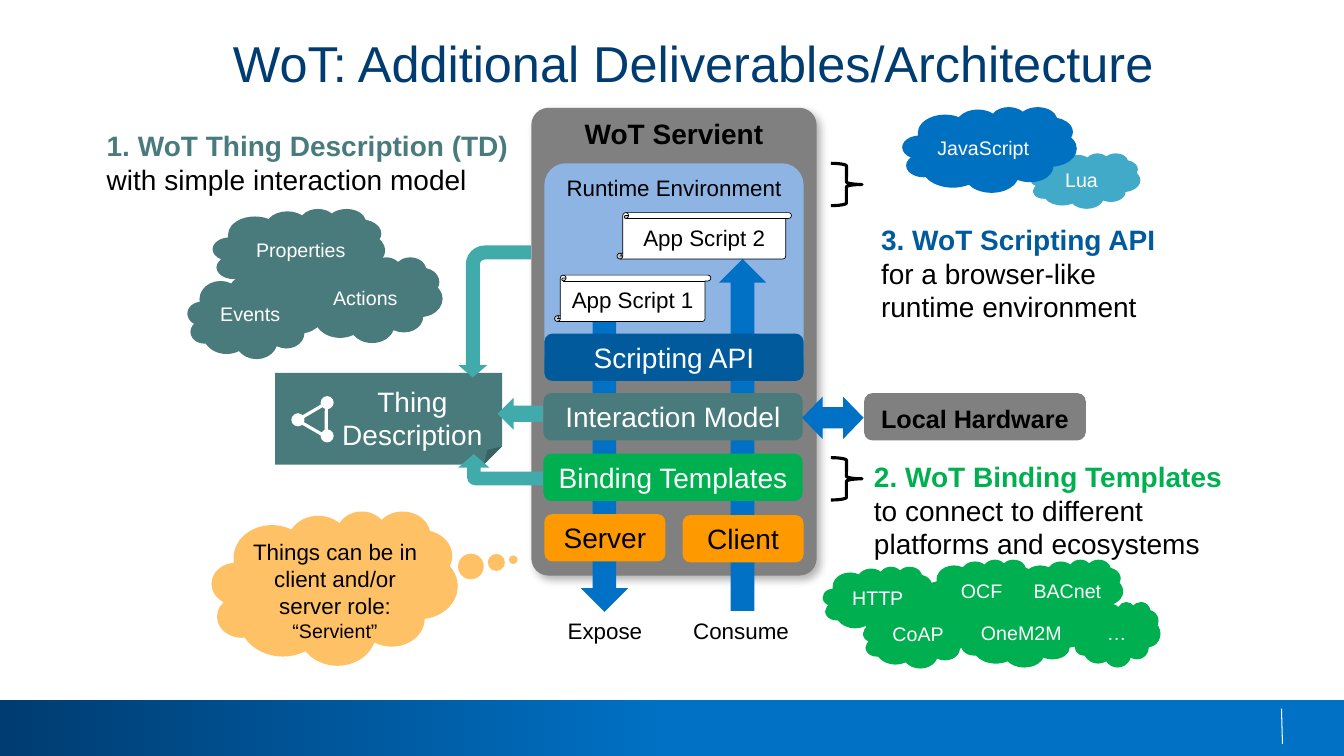
from pptx import Presentation
from pptx.dml.color import RGBColor
from pptx.enum.shapes import MSO_CONNECTOR as Wire, MSO_SHAPE as Kind
from pptx.enum.text import MSO_ANCHOR as Anchor, MSO_AUTO_SIZE as Fit, PP_ALIGN as Align
from pptx.oxml.ns import qn
from pptx.util import Pt
from lxml.etree import SubElement as Sub


class Theme:
    px = 9144
    font = "Arial"
    navy, blue, sky = "003C71", "0071C5", "0070C0"
    deep, pale, aqua = "005A9C", "8EB4E3", "41AAC8"
    slate, teal, green = "4A7B7C", "41AAAA", "00B050"
    gold, gray, white, black = "FF9900", "808080", "FFFFFF", "000000"
    title, big, mid, body, small = 36, 20, 18, 16, 14


T = Theme
deck = Presentation()
deck.slide_width, deck.slide_height = 1333 * T.px, 750 * T.px
slide = deck.slides.add_slide(deck.slide_layouts[5])
shapes = slide.shapes


def put(kind, box, fill=None, line=None, adj=(), rot=0, flip="", home=shapes):
    shape = home.add_shape(kind, *[n * T.px for n in box])
    shape.shadow.inherit = False
    shape.rotation = rot
    if adj:
        guides = shape._element.spPr.find(qn("a:prstGeom")).find(qn("a:avLst"))
        guides.clear()
        for i, value in enumerate(adj, 1):
            name = "adj" if len(adj) == 1 else f"adj{i}"
            Sub(guides, qn("a:gd"), name=name, fmla=f"val {round(value * 100000)}")
    for axis in flip:
        shape._element.spPr.find(qn("a:xfrm")).set("flip" + axis, "1")
    if fill:
        shape.fill.solid()
        shape.fill.fore_color.rgb = RGBColor.from_string(fill)
    else:
        shape.fill.background()
    if line:
        shape.line.color.rgb = RGBColor.from_string(line[0])
        shape.line.width = Pt(line[1])
    else:
        shape.line.fill.background()
    return shape


def write(shape, runs, pad=(10, 5, 10, 5), anchor=Anchor.MIDDLE,
          align=Align.CENTER, wrap=False, gap=None):
    frame = shape.text_frame
    frame.auto_size = Fit.NONE
    frame.word_wrap = wrap
    frame.vertical_anchor = anchor
    (frame.margin_left, frame.margin_top,
     frame.margin_right, frame.margin_bottom) = [n * T.px for n in pad]
    para = frame.paragraphs[0]
    para.alignment = align
    if gap:
        para.line_spacing = gap
    for text, size, ink, bold in runs:
        for i, part in enumerate(text.split("\n")):
            if i:
                para.add_line_break()
                Sub(para._p[-1], qn("a:rPr"), sz=str(size * 100))
            if part:
                run = para.add_run()
                run.text = part
                run.font.name = T.font
                run.font.size = Pt(size)
                run.font.bold = bold
                run.font.color.rgb = RGBColor.from_string(ink)


title = shapes.title
title.left, title.top, title.width, title.height = [n * T.px for n in (221, 19, 997, 93)]
write(title, [("WoT: Additional Deliverables/Architecture", T.title, T.navy, False)],
      pad=(10, 10, 10, 10), align=Align.LEFT, wrap=True, gap=0.9)

foot = put(Kind.RECTANGLE, (0, 694, 1333, 56))
foot.fill.gradient()
foot.fill.gradient_angle = 0
for stop, ink, spot in zip(foot.fill.gradient_stops, (T.navy, T.blue), (0, 0.5)):
    stop.color.rgb = RGBColor.from_string(ink)
    stop.position = spot
tick = shapes.add_connector(Wire.STRAIGHT, *[n * T.px for n in (1271, 703, 1272, 738)])
tick.line.color.rgb = RGBColor.from_string(T.white)
tick.line.width = Pt(0.75)
Sub(tick._element.spPr, qn("a:effectLst"))

host = put(Kind.ROUNDED_RECTANGLE, (527, 107, 283, 464), T.gray, adj=[0.06])
shade = Sub(host._element.spPr.find(qn("a:effectLst")), qn("a:outerShdw"),
            blurRad=str(Pt(6)), dist=str(Pt(4)), dir="2700000", algn="tl", rotWithShape="0")
Sub(Sub(shade, qn("a:srgbClr"), val=T.black), qn("a:alpha"), val="30000")
write(host, [("WoT Servient", T.big, T.black, True)], pad=(10, 4, 10, 8), anchor=Anchor.TOP)
room = put(Kind.ROUNDED_RECTANGLE, (540, 162, 257, 213), T.pale, adj=[0.1])
write(room, [("Runtime Environment", T.body, T.black, False)], anchor=Anchor.TOP)

thing = shapes.add_group_shape().shapes
card = put(Kind.FOLDED_CORNER, (273, 370, 225, 91), T.slate, adj=[0.2], home=thing)
write(card, [("Thing\nDescription", T.big, T.white, False)], pad=(47, 16, 0, 0))
put(Kind.ISOSCELES_TRIANGLE, (300, 398, 33, 29), line=(T.white, 2.25), rot=30, home=thing)
for x, y in (318, 393), (289, 410), (318, 426):
    put(Kind.OVAL, (x, y, 13, 13), T.white, home=thing)

for kind, box, ink, adj, rot, flip in [
    (Kind.BENT_ARROW, (481, 424, 31, 84), T.teal, (0.435, 0.5, 0.434, 0.262), 90, "HV"),
    (Kind.DOWN_ARROW, (500, 388, 32, 45), T.teal, (), 90, ""),
    (Kind.BENT_ARROW, (425, 273, 131, 72), T.teal, (0.193, 0.2, 0.171, 0.262), 270, "H"),
    (Kind.DOWN_ARROW, (576, 319, 47, 288), T.blue, (), 0, ""),
    (Kind.DOWN_ARROW, (713, 257, 47, 349), T.blue, (), 0, "V"),
]:
    put(kind, box, ink, adj=adj, rot=rot, flip=flip)

for text, x, y, wide, fill, ink in [
    ("Interaction Model", 539, 390, 257, T.slate, T.white),
    ("Binding Templates", 539, 450, 257, T.green, T.white),
    ("Scripting API", 540, 331, 257, T.deep, T.white),
    ("Server", 540, 510, 120, T.gold, T.black),
    ("Client", 677, 511, 120, T.gold, T.black),
]:
    bar = put(Kind.ROUNDED_RECTANGLE, (x, y, wide, 47), fill)
    write(bar, [(text, T.big, ink, False)])

for text, x, y, wide in ("App Script 2", 612, 211, 173), ("App Script 1", 550, 273, 155):
    app = put(Kind.VERTICAL_SCROLL, (x, y, wide, 46), T.white, (T.black, 0.5))
    write(app, [(text, T.body, T.black, False)])

for text, x in ("Expose", 550), ("Consume", 685):
    label = shapes.add_textbox(*[n * T.px for n in (x, 610, 100, 34)])
    write(label, [(text, T.body, T.black, False)], pad=(0, 0, 0, 0),
          anchor=Anchor.TOP, gap=1.1)

put(Kind.UP_DOWN_ARROW, (805, 384, 42, 61), T.blue, adj=(0.5, 0.483), rot=270, flip="H")
local = put(Kind.ROUNDED_RECTANGLE, (857, 390, 220, 47), T.gray, adj=[0.18])
write(local, [("Local Hardware", T.mid, T.black, True)], pad=(12, 6, 12, 6), wrap=True, gap=1.1)

for y in 162, 454:
    put(Kind.RIGHT_BRACE, (824, y, 31, 42), line=(T.black, 2.25))

for head, rest, ink, box in [
    ("1. WoT Thing Description (TD)\n", "with simple interaction model",
     T.slate, (96, 123, 443, 77)),
    ("2. WoT Binding Templates\n", "to connect to different\nplatforms and ecosystems",
     T.green, (857, 451, 403, 111)),
    ("3. WoT Scripting API\n", "for a browser-like\nruntime environment",
     T.deep, (864, 216, 403, 111)),
]:
    note = shapes.add_textbox(*[n * T.px for n in box])
    write(note, [(head, T.big, ink, True), (rest, T.big, T.black, False)],
          anchor=Anchor.TOP, align=Align.LEFT, wrap=True)

even, right, far = (10, 5, 10, 5), (16, 5, 10, 5), (16, 5, 0, 5)
for text, box, fill, pad in [
    ("Lua", (1022, 152, 109, 55), T.aqua, even),
    ("JavaScript", (895, 106, 173, 85), T.sky, even),
    ("Events", (186, 271, 134, 85), T.slate, even),
    ("Properties", (211, 207, 171, 85), T.slate, far),
    ("Actions", (296, 255, 143, 85), T.slate, even),
    ("OCF", (919, 555, 111, 65), T.green, right),
    ("HTTP", (816, 562, 111, 65), T.green, right),
    ("CoAP", (856, 598, 111, 65), T.green, right),
    ("OneM2M", (951, 597, 127, 65), T.green, right),
    ("BACnet", (1005, 555, 109, 65), T.green, right),
    ("…", (1064, 597, 87, 65), T.green, right),
]:
    cloud = put(Kind.CLOUD, box, fill)
    write(cloud, [(text, T.small, T.white, False)], pad=pad)

role = put(Kind.CLOUD_CALLOUT, (210, 507, 244, 153), T.gold, adj=(0.726, -0.184))
tint = role._element.spPr.find(qn("a:solidFill")).find(qn("a:srgbClr"))
Sub(tint, qn("a:alpha"), val="60000")
write(role, [("Things can be in\nclient and/or\nserver role:\n", T.body, T.black, False),
             ("“Servient”", T.small, T.black, False)], pad=(28, 12, 10, 0))

deck.save("out.pptx")
